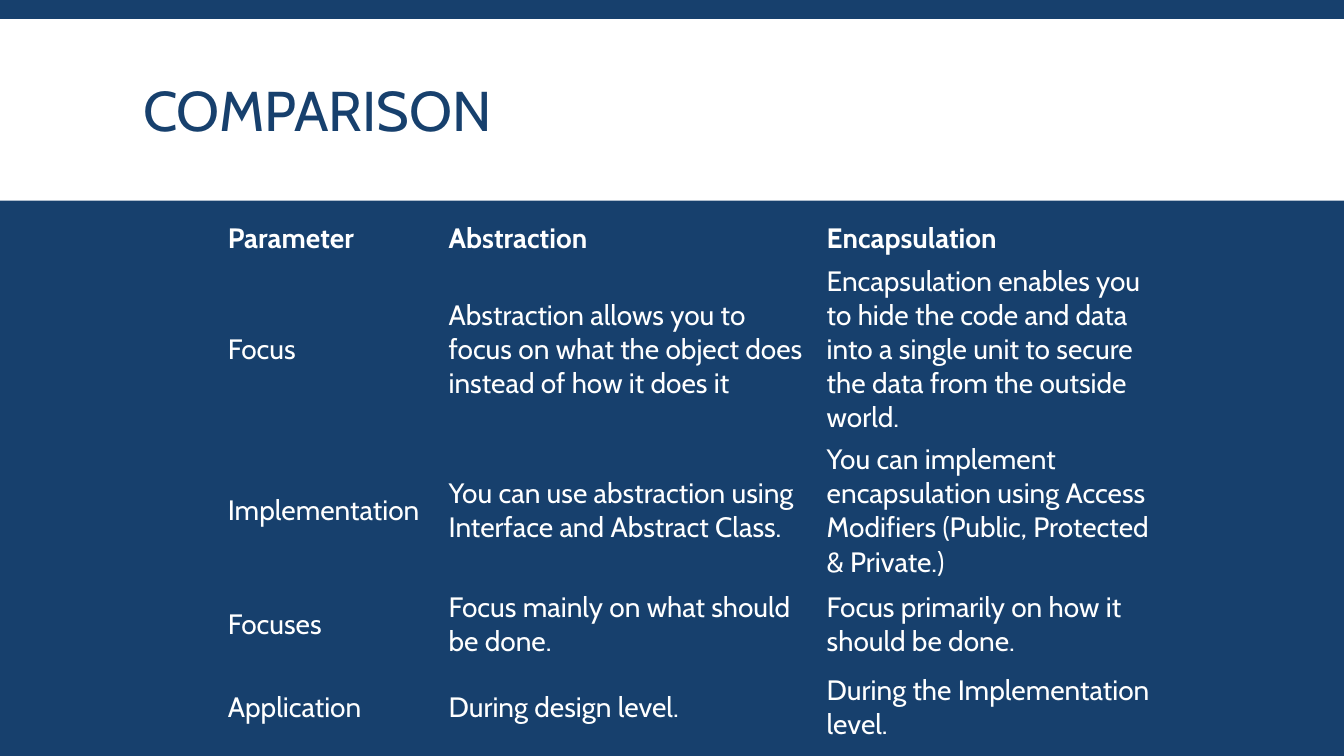
from dataclasses import dataclass

from pptx import Presentation
from pptx.dml.color import RGBColor
from pptx.enum.shapes import MSO_SHAPE
from pptx.enum.text import MSO_ANCHOR, PP_ALIGN
from pptx.util import Inches, Pt

RECTANGLE = MSO_SHAPE.RECTANGLE
MIDDLE = MSO_ANCHOR.MIDDLE
LEFT = PP_ALIGN.LEFT
NO_STYLE_NO_GRID = "{2D5ABB26-0587-4C30-8999-92F81FD0307C}"

TITLE = "COMPARISON"
ROWS = [
    ("Parameter", "Abstraction", "Encapsulation"),
    ("Focus",
     "Abstraction allows you to focus on what the object does instead of how it does it",
     "Encapsulation enables you to hide the code and data into a single unit "
     "to secure the data from the outside world."),
    ("Implementation",
     "You can use abstraction using Interface and Abstract Class.",
     "You can implement encapsulation using Access Modifiers "
     "(Public, Protected & Private.)"),
    ("Focuses",
     "Focus mainly on what should be done.",
     "Focus primarily on how it should be done."),
    ("Application",
     "During design level.",
     "During the Implementation level."),
]
COLUMN_WIDTHS = (2.19, 3.75, 3.45)
HEADER_HEIGHT, BODY_HEIGHT = 0.33, 0.82


@dataclass(frozen=True)
class Theme:
    navy: RGBColor = RGBColor(0x17, 0x40, 0x6D)
    white: RGBColor = RGBColor(0xFF, 0xFF, 0xFF)
    font: str = "Cabin"
    title_size: int = 40
    table_size: int = 20


THEME = Theme()


def add_text(p, text, size, color, bold=False):
    p.alignment = LEFT
    r = p.add_run()
    r.text = text
    r.font.name = THEME.font
    r.font.size = Pt(size)
    r.font.color.rgb = color
    r.font.bold = bold


def add_title(s):
    title = s.shapes.title
    title.left, title.top = Inches(1.32), Inches(0.31)
    title.width, title.height = Inches(10.7), Inches(1.65)
    tf = title.text_frame
    tf.vertical_anchor = MIDDLE
    p = tf.paragraphs[0]
    p.line_spacing = 0.85
    add_text(p, TITLE, THEME.title_size, THEME.navy)


def add_title_band(s, width):
    band = s.shapes.add_shape(RECTANGLE, 0, Inches(0.19), width, Inches(1.8))
    band.shadow.inherit = False
    band.fill.solid()
    band.fill.fore_color.rgb = THEME.white
    band.line.fill.background()
    s.shapes.title.element.addprevious(band.element)  # behind the title


def add_comparison_table(s):
    heights = [HEADER_HEIGHT] + [BODY_HEIGHT] * (len(ROWS) - 1)
    frame = s.shapes.add_table(
        len(ROWS), len(COLUMN_WIDTHS), Inches(2.19), Inches(2.16),
        Inches(sum(COLUMN_WIDTHS)), Inches(sum(heights)))
    table = frame.table
    table.horz_banding = False
    table._tbl.tblPr[0].text = NO_STYLE_NO_GRID
    for column, width in zip(table.columns, COLUMN_WIDTHS):
        column.width = Inches(width)
    for i, (row, height) in enumerate(zip(table.rows, heights)):
        row.height = Inches(height)
        for cell, text in zip(row.cells, ROWS[i]):
            cell.fill.background()
            cell.vertical_anchor = MIDDLE
            cell.margin_left = cell.margin_right = Inches(0.07)
            cell.margin_top = cell.margin_bottom = Inches(0.04)
            add_text(cell.text_frame.paragraphs[0], text,
                     THEME.table_size, THEME.white, bold=i == 0)


def main():
    prs = Presentation()
    prs.slide_width, prs.slide_height = Inches(13.33), Inches(7.5)
    s = prs.slides.add_slide(prs.slide_layouts[5])
    s.background.fill.solid()
    s.background.fill.fore_color.rgb = THEME.navy
    add_title(s)
    add_title_band(s, prs.slide_width)
    add_comparison_table(s)
    prs.save("out.pptx")


if __name__ == "__main__":
    main()
